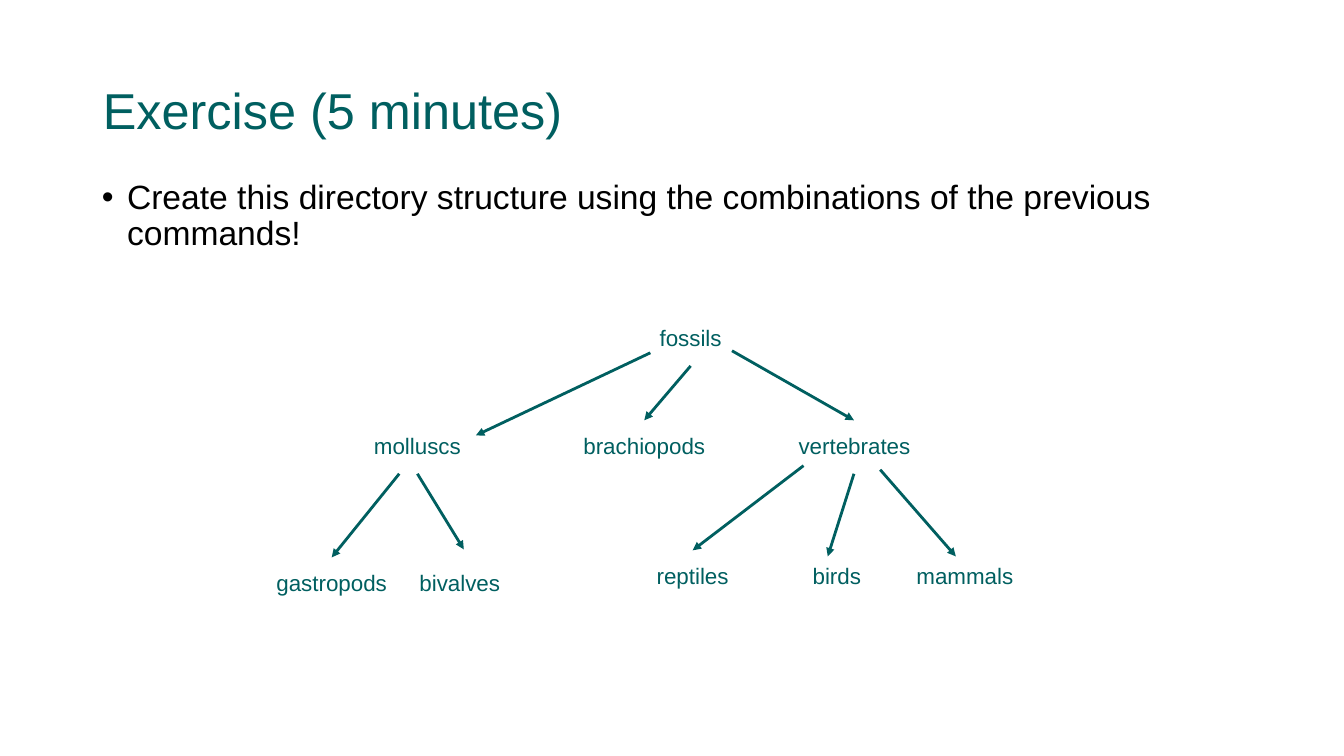
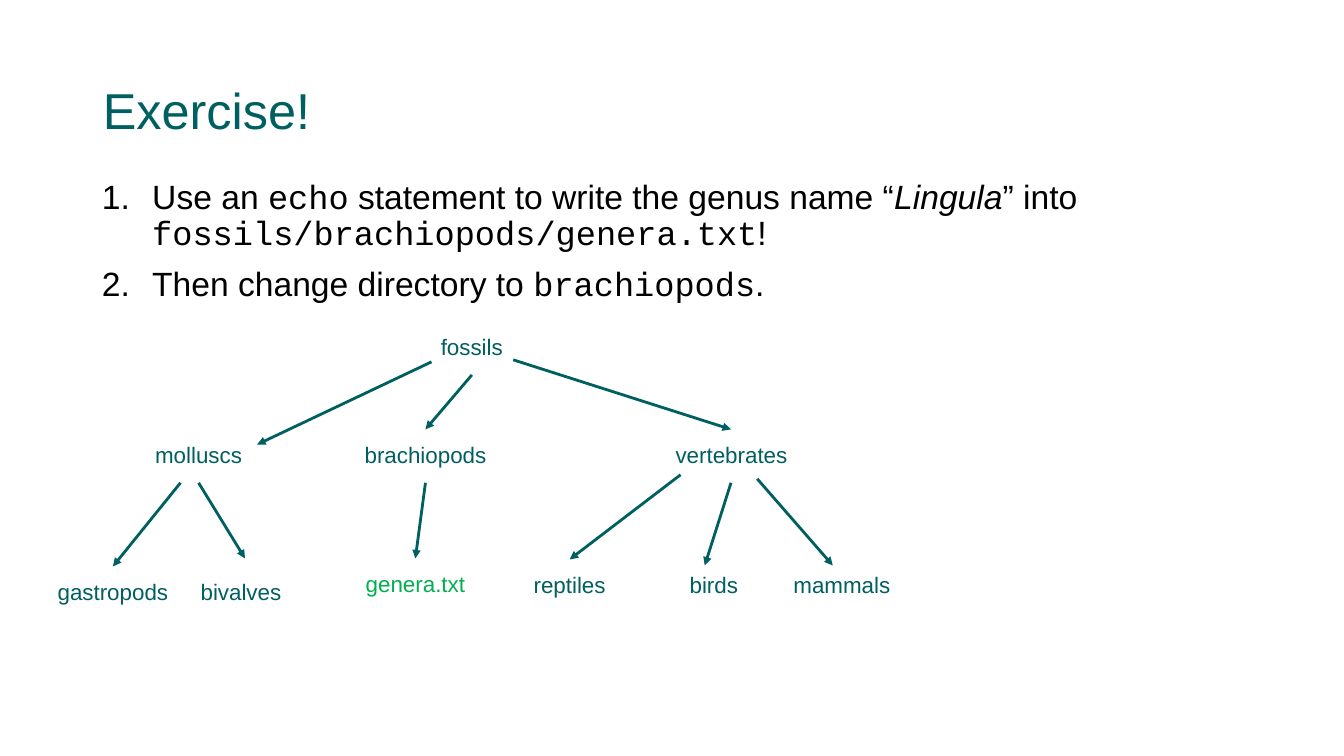
from lxml.etree import SubElement
from pptx import Presentation
from pptx.dml.color import RGBColor
from pptx.enum.shapes import MSO_CONNECTOR
from pptx.enum.text import MSO_ANCHOR, MSO_AUTO_SIZE, PP_ALIGN
from pptx.oxml.ns import qn
from pptx.util import Emu, Pt

PX = 9144  # 100 px to the inch
TEAL, GREEN, BLACK = "005F60", "00B050", "000000"
SANS, MONO = "Arial", "Courier New"
NODE_H = 53

# name: (centre x, top y, width, colour)
NODES = {
    "fossils": (685, 310, 154, TEAL),
    "molluscs": (414, 417, 154, TEAL),
    "brachiopods": (639, 417, 188, TEAL),
    "vertebrates": (847, 417, 175, TEAL),
    "gastropods": (329, 553, 154, TEAL),
    "bivalves": (456, 553, 154, TEAL),
    "genera.txt": (629, 545, 154, GREEN),
    "reptiles": (687, 546, 154, TEAL),
    "birds": (830, 546, 154, TEAL),
    "mammals": (957, 546, 154, TEAL),
}
# parent, child, start offset from parent, end offset from child
ARROWS = [
    ("fossils", "molluscs", (-40, 40), (58, 15)),
    ("fossils", "brachiopods", (0, 53), (0, 0)),
    ("fossils", "vertebrates", (41, 38), (0, 0)),
    ("molluscs", "gastropods", (-18, 53), (0, 0)),
    ("molluscs", "bivalves", (0, 53), (4, -8)),
    ("brachiopods", "genera.txt", (0, 53), (0, 0)),
    ("vertebrates", "reptiles", (-50, 45), (0, 0)),
    ("vertebrates", "birds", (0, 53), (-9, 6)),
    ("vertebrates", "mammals", (26, 49), (-9, 6)),
]
RIGHT = {"vertebrates", "reptiles", "birds", "mammals"}

# Each item is a list of (text, font, italic) runs.
SLIDES = [
    {
        "title": "Exercise (5 minutes)",
        "items": [[("Create this directory structure using the "
                    "combinations of the previous commands!", SANS, False)]],
        "bullet": ("a:buChar", "char", "•"), "indent": 25, "height": 99,
        "skip": {"genera.txt"}, "shift": (0, 0), "right": 0,
    },
    {
        "title": "Exercise!",
        "items": [
            [("Use an ", SANS, False), ("echo", MONO, False),
             (" statement to write the genus name “", SANS, False),
             ("Lingula", SANS, True), ("” into ", SANS, False),
             ("fossils/brachiopods/genera.txt", MONO, False),
             ("!", SANS, False)],
            [("Then change directory to ", SANS, False),
             ("brachiopods", MONO, False), (".", SANS, False)],
        ],
        "bullet": ("a:buAutoNum", "type", "arabicPeriod"), "indent": 50,
        "height": 170,
        "skip": set(), "shift": (-217, 9), "right": 95,
    },
]


def paint(text):
    return RGBColor.from_string(text)


def place(shape, *box):
    shape.left, shape.top, shape.width, shape.height = (
        Emu(v * PX) for v in box)


def style(para, size, color, font=SANS):
    para.line_spacing = 0.9
    para.space_before = Pt(0)
    para.font.size = Pt(size)
    para.font.color.rgb = paint(color)
    if font:
        para.font.name = font


def set_title(shape, text):
    place(shape, 92, 40, 1150, 145)
    frame = shape.text_frame
    frame.text = text
    frame.auto_size = MSO_AUTO_SIZE.NONE
    frame.vertical_anchor = MSO_ANCHOR.MIDDLE
    para = frame.paragraphs[0]
    para.alignment = PP_ALIGN.LEFT
    style(para, 36, TEAL)


def set_list(shape, data):
    place(shape, 91, 174, 1223, data["height"])
    frame = shape.text_frame
    frame.auto_size = MSO_AUTO_SIZE.NONE
    tag, key, value = data["bullet"]
    for i, runs in enumerate(data["items"]):
        para = frame.add_paragraph() if i else frame.paragraphs[0]
        props = para._p.get_or_add_pPr()
        props.set("marL", str(data["indent"] * PX))
        props.set("indent", str(-data["indent"] * PX))
        SubElement(props, qn("a:buFont")).set("typeface", SANS)
        SubElement(props, qn(tag)).set(key, value)
        mixed = len(runs) > 1
        style(para, 24, BLACK, None if mixed else SANS)
        if i:
            para.space_before = Pt(10)
        for text, font, slant in runs:
            run = para.add_run()
            run.text = text
            if mixed:
                run.font.name = font
            if slant:
                run.font.italic = True


def add_node(shapes, name, x, y, width, color):
    box = shapes.add_textbox(0, 0, 0, 0)
    place(box, x - width // 2, y, width, NODE_H)
    frame = box.text_frame
    frame.word_wrap = True
    frame.vertical_anchor = MSO_ANCHOR.MIDDLE
    frame.text = name
    para = frame.paragraphs[0]
    para.alignment = PP_ALIGN.CENTER
    style(para, 16, color)


def add_arrow(shapes, start, end):
    line = shapes.add_connector(
        MSO_CONNECTOR.STRAIGHT, *(Emu(v * PX) for v in start + end))
    line.line.color.rgb = paint(TEAL)
    line.line.width = Pt(0)
    SubElement(line.line._get_or_add_ln(), qn("a:tailEnd")).set(
        "type", "triangle")
    SubElement(line._element.spPr, qn("a:effectLst"))


def add_tree(slide, data):
    shapes = slide.shapes.add_group_shape().shapes
    dx, dy = data["shift"]
    spots = {}
    for name, (x, y, width, color) in NODES.items():
        if name in data["skip"]:
            continue
        x += dx + (data["right"] if name in RIGHT else 0)
        spots[name] = x, y + dy
        add_node(shapes, name, x, y + dy, width, color)
    for parent, child, out, into in ARROWS:
        if child in spots:
            (px, py), (cx, cy) = spots[parent], spots[child]
            add_arrow(shapes, (px + out[0], py + out[1]),
                      (cx + into[0], cy + into[1]))


def main():
    deck = Presentation()
    deck.slide_width, deck.slide_height = Emu(1333 * PX), Emu(750 * PX)
    for data in SLIDES:
        slide = deck.slides.add_slide(deck.slide_layouts[1])
        set_title(slide.shapes.title, data["title"])
        set_list(slide.placeholders[1], data)
        add_tree(slide, data)
    deck.save("out.pptx")


if __name__ == "__main__":
    main()
